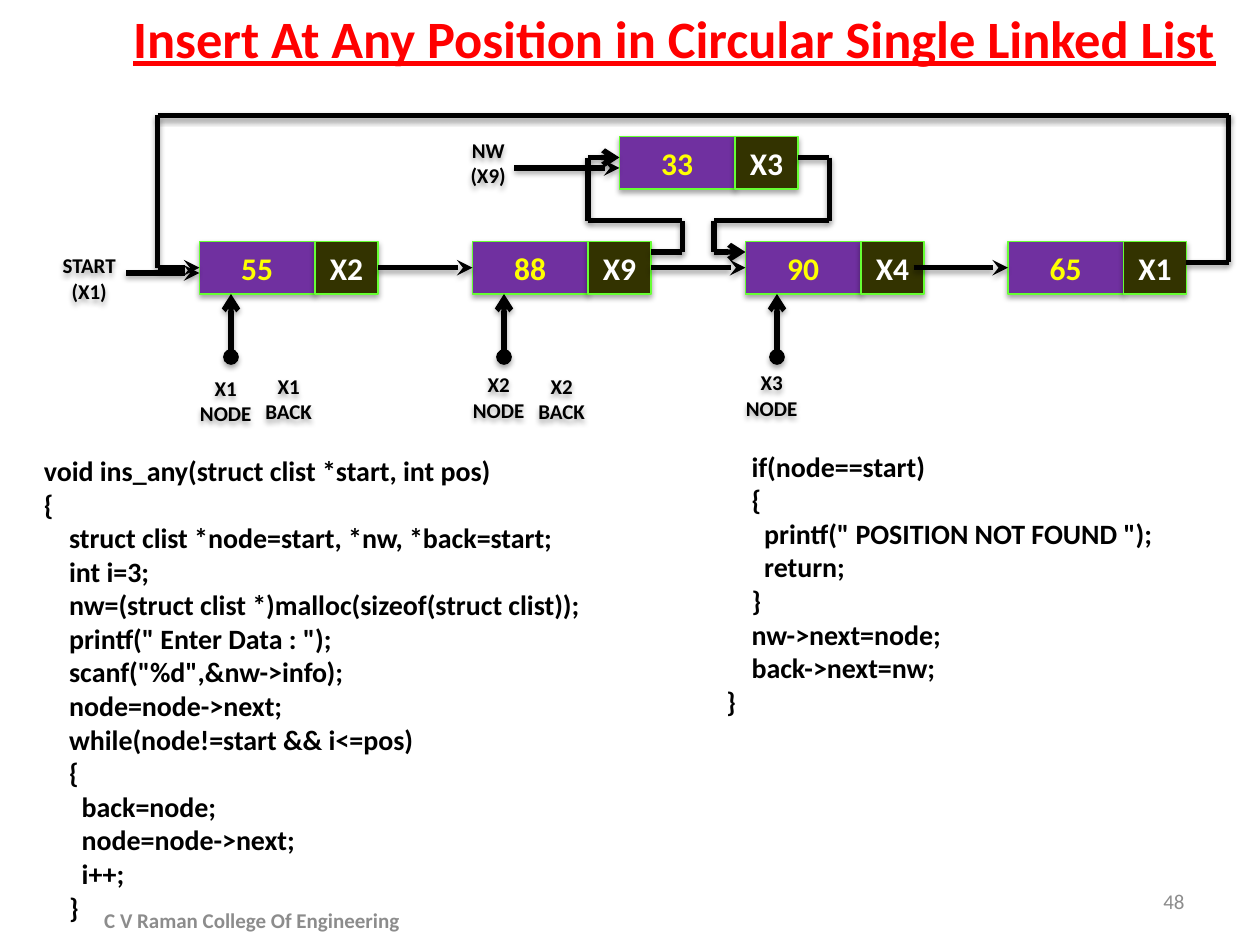
import pptx
import pptx.util
import pptx.dml.color
import pptx.enum.shapes
import pptx.enum.text
import pptx.oxml
import pptx.oxml.ns

UNIT = 1 / 12  # grid: 120 columns by 90 rows
COLS, ROWS = 120, 90
DATA_W, LINK_W, NODE_H = 11, 6, 5
BLACK, GREY = "000000", "8C8C8C"
SHAPE = pptx.enum.shapes.MSO_SHAPE
ALIGN = pptx.enum.text.PP_ALIGN
ANCHOR = pptx.enum.text.MSO_ANCHOR
AUTO = pptx.enum.text.MSO_AUTO_SIZE
LEFT, BOTTOM, RIGHT = 1, 2, 3

INSERT_CODE = """void ins_any(struct clist *start, int pos)
{
    struct clist *node=start, *nw, *back=start;
    int i=3;
    nw=(struct clist *)malloc(sizeof(struct clist));
    printf(" Enter Data : ");
    scanf("%d",&nw->info);
    node=node->next;
    while(node!=start && i<=pos)
    {
      back=node;
      node=node->next;
      i++;
    }"""
LINK_CODE = """    if(node==start)
    {
      printf(" POSITION NOT FOUND ");
      return;
    }
    nw->next=node;
    back->next=nw;
}"""


def grid(*units):
    return [pptx.util.Inches(u * UNIT) for u in units]


def rgb(color):
    return pptx.dml.color.RGBColor.from_string(color)


def xml(tag, inner="", **attrs):
    listed = "".join(f' {k}="{v}"' for k, v in attrs.items())
    return pptx.oxml.parse_xml(
        f'<a:{tag} {pptx.oxml.ns.nsdecls("a")}{listed}>{inner}</a:{tag}>')


def drop_shadow(sp):
    """Call after fill and line, as the effect list follows them."""
    sp._element.spPr.append(xml(
        "effectLst",
        '<a:outerShdw blurRad="40000" dist="23000" dir="5400000" rotWithShape="0">'
        '<a:srgbClr val="000000"><a:alpha val="35000"/></a:srgbClr></a:outerShdw>'))


def write(sp, text, size=16, color=BLACK, bold=True, underline=None,
          align=ALIGN.LEFT, anchor=ANCHOR.TOP, wrap=True, auto=AUTO.NONE):
    tf = sp.text_frame
    tf.word_wrap, tf.vertical_anchor, tf.auto_size = wrap, anchor, auto
    for i, line in enumerate(text.split("\n")):
        p = tf.paragraphs[0] if i == 0 else tf.add_paragraph()
        p.alignment = align
        r = p.add_run()
        r.text = line
        r.font.name, r.font.size = "Calibri", pptx.util.Pt(size)
        r.font.bold, r.font.underline = bold, underline
        r.font.color.rgb = rgb(color)


def text_box(s, box, text, **fmt):
    write(s.shapes.add_textbox(*grid(*box)), text, **fmt)


def cell(s, box, text, fill, color):
    sp = s.shapes.add_shape(SHAPE.RECTANGLE, *grid(*box))
    sp.fill.solid()
    sp.fill.fore_color.rgb = rgb(fill)
    sp.line.color.rgb = rgb("66FF33")
    sp.line.width = pptx.util.Pt(1)
    drop_shadow(sp)
    write(sp, text, size=18, color=color, align=ALIGN.CENTER, anchor=ANCHOR.MIDDLE)
    return sp


def node(s, x, y, value, link):
    return (cell(s, (x, y, DATA_W, NODE_H), value, "7030A0", "FFFF00"),
            cell(s, (x + DATA_W, y, LINK_W, NODE_H), link, "333300", "FFFFFF"))


def label(s, box, text):
    sp = s.shapes.add_shape(SHAPE.OVAL, *grid(*box))
    sp.fill.background()
    sp.line.fill.background()
    drop_shadow(sp)
    write(sp, text, size=12, align=ALIGN.CENTER, anchor=ANCHOR.MIDDLE)


def line(s, start, end, head=None, tail=None):
    c = s.shapes.add_connector(pptx.enum.shapes.MSO_CONNECTOR.STRAIGHT,
                               *grid(*start, *end))
    c.line.color.rgb = rgb(BLACK)
    c.line.width = pptx.util.Pt(3)
    ln = c.line._get_or_add_ln()
    for tag, kind in (("headEnd", head), ("tailEnd", tail)):
        if kind:
            ln.append(xml(tag, type=kind))
    drop_shadow(c)
    return c


def route(s, points, tail):
    """Chain of straight lines with an arrowhead on the last; returns the last."""
    last = len(points) - 2
    for i, ends in enumerate(zip(points, points[1:])):
        c = line(s, *ends, tail=tail if i == last else None)
    return c


def list_diagram(s, x, y):
    def at(*points):
        return [(x + dx, y + dy) for dx, dy in points]

    row, mid = 12, 14.5
    node_cols = (16, 42, 68, 93)
    cells = [node(s, x + col, y + row, *texts) for col, texts in zip(
        node_cols, (("55", "X2"), ("88", "X9"), ("90", "X4"), ("65", "X1")))]
    node(s, x + 56, y + 2, "33", "X3")

    for i, (col, following) in enumerate(zip(node_cols, node_cols[1:])):
        inside_link = i == 2
        begin = col + DATA_W + (5 if inside_link else LINK_W)
        c = line(s, *at((begin, mid), (following, mid)), tail="stealth")
        if not inside_link:
            c.begin_connect(cells[i][1], RIGHT)
        c.end_connect(cells[i + 1][0], LEFT)

    loop = route(s, at((110, 14), (114, 14), (114, 0), (12, 0), (12, mid), (16, mid)),
                 "stealth")
    loop.end_connect(cells[0][0], LEFT)
    route(s, at((59, 13), (62, 13), (62, 10), (53, 10), (53, 4), (56, 4)), "arrow")
    route(s, at((73, 4), (76, 4), (76, 10), (65, 10), (65, 13), (68, 13)), "arrow")

    label(s, (x, y + 13, 11, 5), "START(X1)")
    line(s, *at((9, 15), (16, 15)), tail="stealth")
    label(s, (x + 38, y + 2, 11, 5), "NW\n(X9)")
    line(s, *at((46, 5), (56, 5)), tail="stealth")

    for col, top, name in zip(node_cols, (24, 23.7, 23.5), ("X1", "X2", "X3")):
        line(s, *at((col + 3, 23), (col + 3, row + NODE_H)), head="oval", tail="arrow")
        label(s, (x + col - 3, y + top, 11, 6.25), f"{name}\nNODE")
        if name != "X3":
            label(s, (x + col + 2, y + 23.5, 13, 7), f"{name}\nBACK")


def code_columns(s, x, y):
    text_box(s, (x, y + 0.4, 62, 46.4), INSERT_CODE, auto=AUTO.SHAPE_TO_FIT_TEXT)
    text_box(s, (x + 65, y, 51, 27.1), LINK_CODE, auto=AUTO.SHAPE_TO_FIT_TEXT)


def footer(s, x, y):
    fmt = dict(size=12, color=GREY, anchor=ANCHOR.MIDDLE)
    text_box(s, (x + 78, y, 28, 4.8), "48", bold=False, align=ALIGN.RIGHT, **fmt)
    text_box(s, (x, y + 1.8, 32, 4.8), "C V Raman College Of Engineering",
             align=ALIGN.CENTER, **fmt)


def main():
    prs = pptx.Presentation()
    prs.slide_width, prs.slide_height = grid(COLS, ROWS)
    s = prs.slides.add_slide(prs.slide_layouts[6])
    code_columns(s, 3, 42.2)
    list_diagram(s, 3, 11)
    text_box(s, (11.5, 0, 106.6, 7.3),
             "Insert At Any Position in Circular Single Linked List",
             size=30, color="FF0000", underline=True, wrap=False,
             auto=AUTO.SHAPE_TO_FIT_TEXT)
    footer(s, 8, 83.4)
    prs.save("out.pptx")


if __name__ == "__main__":
    main()
